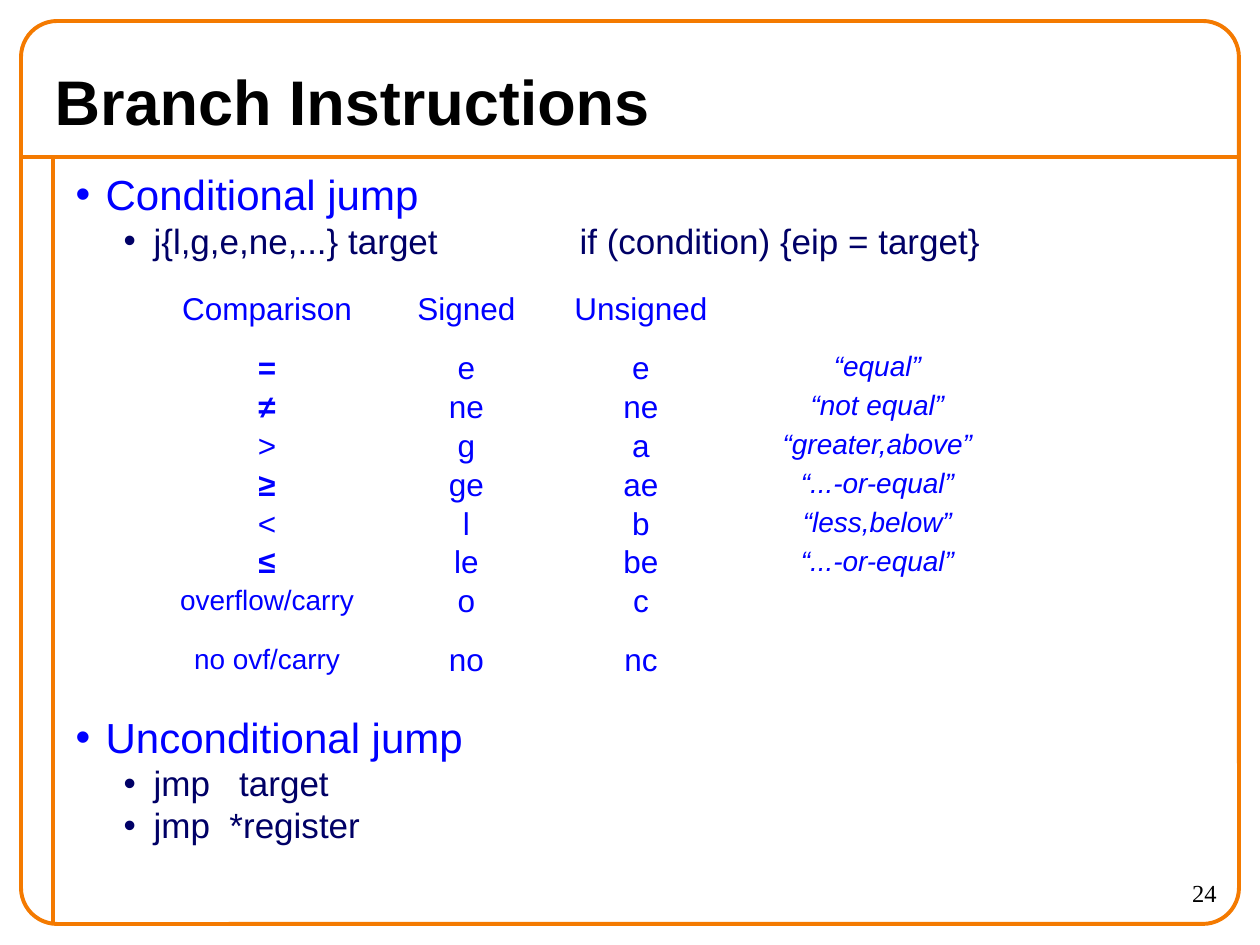
from dataclasses import dataclass

from lxml import etree
from pptx import Presentation
from pptx.dml.color import RGBColor
from pptx.enum.shapes import MSO_CONNECTOR, MSO_SHAPE
from pptx.enum.text import MSO_ANCHOR, MSO_AUTO_SIZE, PP_ALIGN
from pptx.oxml.ns import qn
from pptx.util import Inches, Pt

STRAIGHT = MSO_CONNECTOR.STRAIGHT
ROUNDED = MSO_SHAPE.ROUNDED_RECTANGLE
TOP, MIDDLE = MSO_ANCHOR.TOP, MSO_ANCHOR.MIDDLE
LEFT, CENTER, RIGHT = PP_ALIGN.LEFT, PP_ALIGN.CENTER, PP_ALIGN.RIGHT
NO_AUTOFIT = MSO_AUTO_SIZE.NONE


@dataclass(frozen=True)
class Theme:
    sans: str = "Arial"
    serif: str = "Times New Roman"
    frame: str = "F47A00"
    black: str = "000000"
    blue: str = "0000FF"
    navy: str = "000066"
    title: int = 36
    topic: int = 24
    detail: int = 20
    cell: int = 18
    small: int = 16
    number: int = 14
    frame_line: float = 2.25


THEME = Theme()
PX = 914400 // 126

TITLE = "Branch Instructions"
PAGE_NUMBER = "24"
TABLE_GAP = 260  # points kept free above the second topic for the table
# level, text, space before in points
OUTLINE = [
    (0, "Conditional jump", 0),
    (1, "j{l,g,e,ne,...} target\t\tif (condition) {eip = target}", 2.5),
    (0, "Unconditional jump", TABLE_GAP),
    (1, "jmp   target", 2.5),
    (1, "jmp  *register", 2.5),
]
CONDITIONS = [
    ("Comparison", "Signed", "Unsigned", ""),
    ("=", "e", "e", "“equal”"),
    ("≠", "ne", "ne", "“not equal”"),
    (">", "g", "a", "“greater,above”"),
    ("≥", "ge", "ae", "“...-or-equal”"),
    ("<", "l", "b", "“less,below”"),
    ("≤", "le", "be", "“...-or-equal”"),
    ("overflow/carry", "o", "c", ""),
    ("no ovf/carry", "no", "nc", ""),
]
BOLD_SYMBOLS = "=≠≥≤"
MEANING_COLUMN = 3

# left, top, width, height in px
FRAME = (21, 21, 1218, 903)
TITLE_BOX = (42, 53, 1176, 94)
BODY_BOX = (63, 168, 1166, 712)
NUMBER_BOX = (1103, 872, 126, 53)
RULES = [(21, 157, 1239, 157), (53, 157, 53, 924)]
TABLE_LEFT, TABLE_TOP = 158, 294
COLUMN_WIDTHS = (218, 181, 168, 305)
ROW_HEIGHT, OPEN_ROW_HEIGHT = 39, 59
LEVEL_INDENTS = (30, 78)
BULLET_HANG = 30
LEVEL_STYLES = [(THEME.topic, THEME.blue), (THEME.detail, THEME.navy)]


def emu(lengths):
    return [length * PX for length in lengths]


def place(shape, box):
    shape.left, shape.top, shape.width, shape.height = emu(box)


def style(paragraph, size, color, face=THEME.sans, bold=False, italic=False):
    font = paragraph.font
    font.name, font.size = face, Pt(size)
    font.bold, font.italic = bold, italic
    font.color.rgb = RGBColor.from_string(color)


def outline(line):
    line.color.rgb = RGBColor.from_string(THEME.frame)
    line.width = Pt(THEME.frame_line)


def add_bullet(paragraph, level, color):
    """Set the hanging indent, the coloured bullet and one-inch tab stops."""
    props = paragraph._p.get_or_add_pPr()
    props.set("marL", str(LEVEL_INDENTS[level] * PX))
    props.set("indent", str(-BULLET_HANG * PX))
    bullet_color = etree.SubElement(props, qn("a:buClr"))
    etree.SubElement(bullet_color, qn("a:srgbClr"), val=color)
    etree.SubElement(props, qn("a:buFont"), typeface=THEME.sans)
    etree.SubElement(props, qn("a:buChar"), char="•")
    tabs = etree.SubElement(props, qn("a:tabLst"))
    for inch in range(1, 9):
        etree.SubElement(tabs, qn("a:tab"), pos=str(Inches(inch)), algn="l")


def draw_frame(shapes):
    frame = shapes.add_shape(ROUNDED, *emu(FRAME))
    frame.adjustments[0] = 0.04
    frame.shadow.inherit = False
    frame.fill.background()
    outline(frame.line)
    for ends in RULES:
        rule = shapes.add_connector(STRAIGHT, *emu(ends))
        outline(rule.line)
        etree.SubElement(rule._element.spPr, qn("a:effectLst"))


def fill_title(title):
    place(title, TITLE_BOX)
    frame = title.text_frame
    frame.text = TITLE
    frame.auto_size, frame.vertical_anchor = NO_AUTOFIT, MIDDLE
    paragraph = frame.paragraphs[0]
    paragraph.alignment = LEFT
    style(paragraph, THEME.title, THEME.black, bold=True)


def fill_outline(body):
    place(body, BODY_BOX)
    frame = body.text_frame
    frame.auto_size, frame.vertical_anchor = NO_AUTOFIT, TOP
    frame.text = "\n".join(text for _, text, _ in OUTLINE)
    for paragraph, (level, _, space) in zip(frame.paragraphs, OUTLINE):
        size, color = LEVEL_STYLES[level]
        paragraph.level = level
        add_bullet(paragraph, level, color)
        paragraph.line_spacing = 0.9
        paragraph.space_before = Pt(space)
        style(paragraph, size, color)


def add_conditions(shapes):
    heights = [ROW_HEIGHT if row[MEANING_COLUMN] else OPEN_ROW_HEIGHT
               for row in CONDITIONS]
    box = (TABLE_LEFT, TABLE_TOP, sum(COLUMN_WIDTHS), sum(heights))
    table = shapes.add_table(len(heights), len(COLUMN_WIDTHS), *emu(box)).table
    table.first_row = table.horz_banding = False
    for column, width in zip(table.columns, COLUMN_WIDTHS):
        column.width = width * PX
    for row, height, texts in zip(table.rows, heights, CONDITIONS):
        row.height = height * PX
        for index, (cell, text) in enumerate(zip(row.cells, texts)):
            cell.fill.background()
            cell.text = text
            paragraph = cell.text_frame.paragraphs[0]
            paragraph.alignment, paragraph.line_spacing = CENTER, 0.7
            meaning = index == MEANING_COLUMN
            small = meaning or text.endswith("carry")
            style(paragraph, THEME.small if small else THEME.cell, THEME.blue,
                  bold=bool(text) and text in BOLD_SYMBOLS, italic=meaning)


def add_page_number(shapes):
    frame = shapes.add_textbox(*emu(NUMBER_BOX)).text_frame
    frame.word_wrap = True
    frame.text = PAGE_NUMBER
    paragraph = frame.paragraphs[0]
    paragraph.alignment = RIGHT
    style(paragraph, THEME.number, THEME.black, face=THEME.serif)


def main():
    deck = Presentation()
    deck.slide_width, deck.slide_height = emu((1260, 945))
    slide = deck.slides.add_slide(deck.slide_layouts[1])
    draw_frame(slide.shapes)
    fill_title(slide.shapes.title)
    fill_outline(slide.placeholders[1])
    add_conditions(slide.shapes)
    add_page_number(slide.shapes)
    deck.save("out.pptx")


if __name__ == "__main__":
    main()
